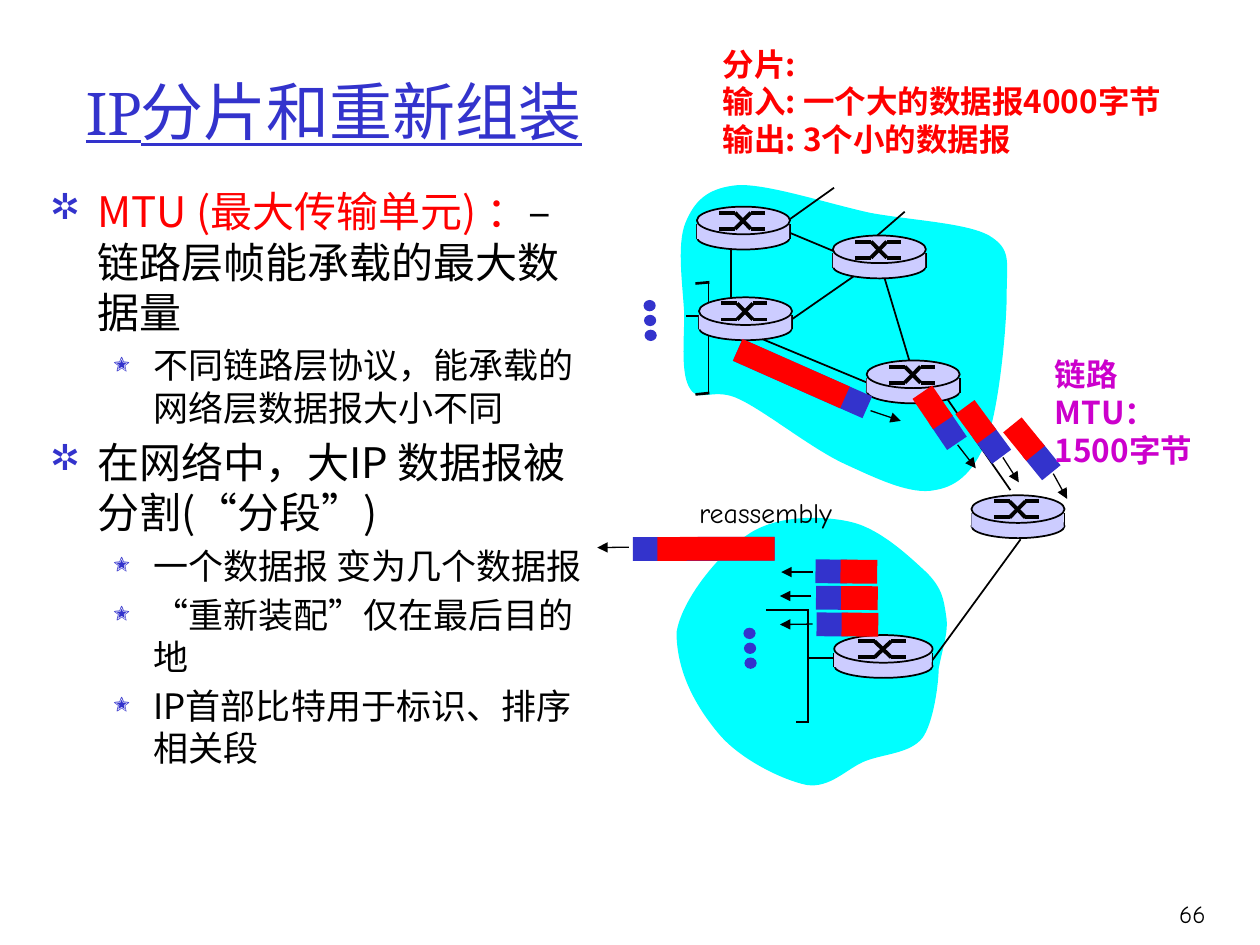
from math import cos, radians, sin
from lxml.etree import SubElement
from pptx import Presentation
from pptx.dml.color import RGBColor
from pptx.enum.shapes import MSO_CONNECTOR, MSO_SHAPE
from pptx.enum.text import MSO_ANCHOR, MSO_AUTO_SIZE, PP_ALIGN
from pptx.oxml.ns import qn
from pptx.util import Pt

BLUE, RED, CYAN, LILAC, BLACK = "3333CC", "FF0000", "00FFFF", "CCCCFF", "000000"
PINK = "CC00CC"
SANS, COMIC, SERIF = "Noto Sans CJK SC", "Comic Neue", "Cambria"

CLOUDS = [
    [(421.9, 105.8), (403.9, 107.3), (396.7, 115.2), (391.7, 127.4),
     (386.6, 139.7), (390.2, 163.4), (391, 179.3),
     (391, 195.1), (388.8, 214.6), (394.6, 222.5),
     (399.6, 230.4), (408.2, 221), (422.6, 228.2),
     (437.8, 235.4), (463.7, 256.3), (482.4, 265),
     (501.1, 273.6), (520.6, 283), (534.2, 280.1),
     (547.9, 277.9), (557.3, 268.6), (564.5, 249.8),
     (571, 231.1), (575.3, 187.2), (575.3, 167.8),
     (575.3, 149), (578.2, 142.6), (565.2, 134.6),
     (552.2, 127.4), (521.3, 126), (497.5, 121.7),
     (473.8, 116.6), (439.2, 105.1), (421.9, 105.8)],
    [(386.6, 361.4), (389.5, 342.7), (411.1, 316.1), (427.7, 305.3),
     (443.5, 294.5), (468.7, 294.5), (485.3, 298.1),
     (502.6, 301.7), (519.8, 318.2), (529.2, 326.9),
     (538.6, 336.2), (539.3, 342.7), (540.7, 352.1),
     (542.2, 361.4), (538.6, 370.1), (536.4, 382.3),
     (536.4, 390.2), (533.5, 413.3), (527, 421.9),
     (519.8, 430.6), (506.2, 430.6), (494.6, 434.9),
     (483.8, 439.2), (474.5, 450.7), (460.8, 448.6),
     (447.1, 445.7), (423.4, 434.2), (411.1, 419.8),
     (398.9, 405.4), (386.6, 385.2), (386.6, 361.4)],
]
LINKS = [
    (404.8, 160.6, 404.8, 224.6), (392.2, 180.7, 402.5, 180.7),
    (437.8, 127.4, 489.6, 149), (504, 154.1, 519.8, 206.6),
    (417.6, 136.1, 417.6, 182.2), (419.8, 187.2, 496.1, 218.9),
    (577.4, 280.1, 540, 226.1), (497.5, 151.2, 438.5, 192.2),
    (476.6, 107.3, 439.2, 133.9), (517, 121, 495.4, 139.7),
    (461.8, 348.5, 461.8, 411.8), (461.5, 376, 476.6, 376),
    (583.2, 308.2, 532.8, 377.3),
]
TICKS = [
    (397.4, 162, 405.4, 161.3), (397.4, 225.4, 405.4, 224.6),
    (437.8, 348.5, 462.2, 348.5), (455, 412.6, 462.2, 412.6),
]
ARROWS = [
    (497.5, 234.7, 514.8, 240.5), (547.2, 254.2, 557.6, 267.6),
    (573.1, 261.4, 582.2, 275.6), (601.9, 270.7, 609.8, 285.1),
    (464.4, 326.9, 446.4, 326.9), (463.7, 340.6, 445.7, 340.6),
    (464.4, 356.6, 445.7, 356.9), (359.3, 312.7, 341.3, 312.9),
]
ROUTERS = [(398.2, 118.1, 53.2), (399.4, 169.9, 53.2), (475.9, 134.6, 53.2),
           (495.2, 206, 53.2), (476.7, 362.9, 56.2), (555.1, 283, 53.2)]
WHOLE = [(458.6, 216.4, 23.9), (402.1, 313.6, 179.9)]
PARTS = [(541.8, 245.9, 55.8), (567, 253.8, 53.6), (595.1, 263.2, 50.9),
         (475, 326.5, 180.4), (475.3, 341.6, 180.4), (475.6, 356.8, 180.4)]
BODY = [
    (0, [("MTU (最大传输单元) ：", RED), ("–链路层帧能承载的最大数据量", BLACK)]),
    (1, [("不同链路层协议，能承载的网络层数据报大小不同", BLACK)]),
    (0, [("在网络中，大IP 数据报被分割(“分段”)", BLACK)]),
    (1, [("一个数据报 变为几个数据报", BLACK)]),
    (1, [("“重新装配”仅在最后目的地", BLACK)]),
    (1, [("IP首部比特用于标识、排序相关段", BLACK)]),
]


def tint(code):
    return RGBColor.from_string(code)


def write(para, words, size=18, color=BLACK, face=SANS, bold=False, under=False):
    run = para.add_run()
    run.text = words
    font = run.font
    font.size, font.name, font.bold, font.underline = Pt(size), face, bold, under
    font.color.rgb = tint(color)
    SubElement(font._element, qn("a:ea")).set("typeface", SANS)


def place(shape, x, y, w, h):
    shape.left, shape.top, shape.width, shape.height = Pt(x), Pt(y), Pt(w), Pt(h)


def frame(slide, x, y, w, h):
    text = slide.shapes.add_textbox(Pt(x), Pt(y), Pt(w), Pt(h)).text_frame
    text.word_wrap = True
    return text


def label(slide, box, lines, **style):
    text = frame(slide, *box)
    for i, words in enumerate(lines):
        para = text.add_paragraph() if i else text.paragraphs[0]
        write(para, words, **style)
    return text


def bullet(para, level):
    dent, hang, size, mark = [(27, 27, 85, "❒"), (59, 22.5, 75, "❍")][level]
    props = para._p.get_or_add_pPr()
    props.set("marL", str(Pt(dent)))
    props.set("indent", str(-Pt(hang)))
    if level:
        props.set("lvl", str(level))
    hue = SubElement(props, qn("a:buClr"))
    SubElement(hue, qn("a:srgbClr")).set("val", BLUE)
    SubElement(props, qn("a:buSzPct")).set("val", str(size * 1000))
    SubElement(props, qn("a:buFont")).set("typeface", "ZapfDingbats")
    SubElement(props, qn("a:buChar")).set("char", mark)


def outline(slide):
    text = frame(slide, 21.6, 102.6, 319.7, 365.8)
    for i, (level, runs) in enumerate(BODY):
        para = text.add_paragraph() if i else text.paragraphs[0]
        bullet(para, level)
        size = 20 if level else 24
        if i:
            para.space_before = Pt(size * 0.2)
        for words, color in runs:
            write(para, words, size=size, color=color)


def paint(shape, fill, edge=None):
    shape.shadow.inherit = False
    shape.fill.solid()
    shape.fill.fore_color.rgb = tint(fill)
    if edge:
        shape.line.color.rgb = tint(edge)
        shape.line.width = Pt(1)
    else:
        shape.line.fill.background()


def solid(slide, kind, x, y, w, h, fill, edge=None, turn=0):
    shape = slide.shapes.add_shape(kind, Pt(x), Pt(y), Pt(w), Pt(h))
    shape.rotation = turn
    paint(shape, fill, edge)


def stroke(slide, ends, width=1, head=False):
    line = slide.shapes.add_connector(MSO_CONNECTOR.STRAIGHT, *map(Pt, ends))
    line.line.color.rgb = tint(BLACK)
    line.line.width = Pt(width)
    if head:
        SubElement(line.line._get_or_add_ln(), qn("a:tailEnd")).set("type", "triangle")
    SubElement(line._element.spPr, qn("a:effectLst"))


def cloud(slide, knots):
    pen = slide.shapes.build_freeform(*knots[0], scale=Pt(1) / 10)
    pen = slide.shapes.build_freeform(*[Pt(v) for v in knots[0]])
    pen.add_line_segments([(Pt(x), Pt(y)) for x, y in knots[1:]], close=True)
    shape = pen.convert_to_shape()
    paint(shape, CYAN)
    legs = list(shape._element.iter(qn("a:lnTo")))
    for i in range(0, len(legs), 3):
        curve = legs[i].makeelement(qn("a:cubicBezTo"))
        legs[i].addprevious(curve)
        for leg in legs[i:i + 3]:
            curve.append(leg[0])
            leg.getparent().remove(leg)


def router(slide, x, y, w):
    solid(slide, MSO_SHAPE.OVAL, x, y + 10.8, w, 13.7, LILAC, BLACK)
    for side in (x, x + w):
        stroke(slide, (side, y + 10, side, y + 18.4))
    solid(slide, MSO_SHAPE.RECTANGLE, x, y + 10, w - 0.5, 8.4, LILAC)
    solid(slide, MSO_SHAPE.OVAL, x, y, w, 15.8, LILAC, BLACK)
    cols = [x + w * part for part in (0.24, 0.41, 0.58, 0.73)]
    high, low = y + 3.5, y + 12.7
    for rows in ((high, high, low, low), (low, low, high, high)):
        for i in range(3):
            stroke(slide, (cols[i], rows[i], cols[i + 1], rows[i + 1]), 2.25)


def packet(slide, x, y, turn, head, load, gap):
    back = (x - gap * cos(radians(turn)), y - gap * sin(radians(turn)))
    for (mid, row), size, fill in (((x, y), head, BLUE), (back, load, RED)):
        solid(slide, MSO_SHAPE.RECTANGLE, mid - size / 2, row - 6.8, size, 13.6,
              fill, turn=turn)


def dots(slide, x, y):
    for i in range(3):
        solid(slide, MSO_SHAPE.OVAL, x + 0.3 * i, y + 8.5 * i, 7, 6.5, BLUE)


def main():
    deck = Presentation()
    deck.slide_width, deck.slide_height = Pt(720), Pt(540)
    slide = deck.slides.add_slide(deck.slide_layouts[5])
    title = slide.shapes.title
    place(title, 41.8, 18, 635, 90)
    text = title.text_frame
    text.auto_size = MSO_AUTO_SIZE.NONE
    text.vertical_anchor = MSO_ANCHOR.MIDDLE
    text.paragraphs[0].alignment = PP_ALIGN.LEFT
    write(text.paragraphs[0], "IP分片和重新组装", size=36, color=BLUE, face=SERIF, under=True)
    outline(slide)
    for knots in CLOUDS:
        cloud(slide, knots)
    for ends in LINKS:
        stroke(slide, ends)
    for ends in TICKS:
        stroke(slide, ends, 1.5)
    for spot in ((367.7, 171.4), (424.8, 358.7)):
        dots(slide, *spot)
    for spot in ROUTERS:
        router(slide, *spot)
    for spot in WHOLE:
        packet(slide, *spot, head=81, load=67, gap=7)
    for spot in PARTS:
        packet(slide, *spot, head=18, load=21, gap=15.8)
    for ends in ARROWS:
        stroke(slide, ends, 0.75, True)
    label(slide, (406, 22, 271.5, 75),
          ["分片:", "输入: 一个大的数据报4000字节", "输出: 3个小的数据报"],
          color=RED, bold=True)
    label(slide, (392.4, 279.4, 98, 26.6), ["reassembly"], size=16, face=COMIC)
    label(slide, (595.6, 199.4, 97.2, 53.3), ["链路MTU：", "1500字节"], color=PINK, bold=True)
    page = label(slide, (642.8, 504, 53.3, 36), ["66"], size=14, face=COMIC)
    page.vertical_anchor = MSO_ANCHOR.MIDDLE
    page.paragraphs[0].alignment = PP_ALIGN.RIGHT
    deck.save("out.pptx")


if __name__ == "__main__":
    main()
